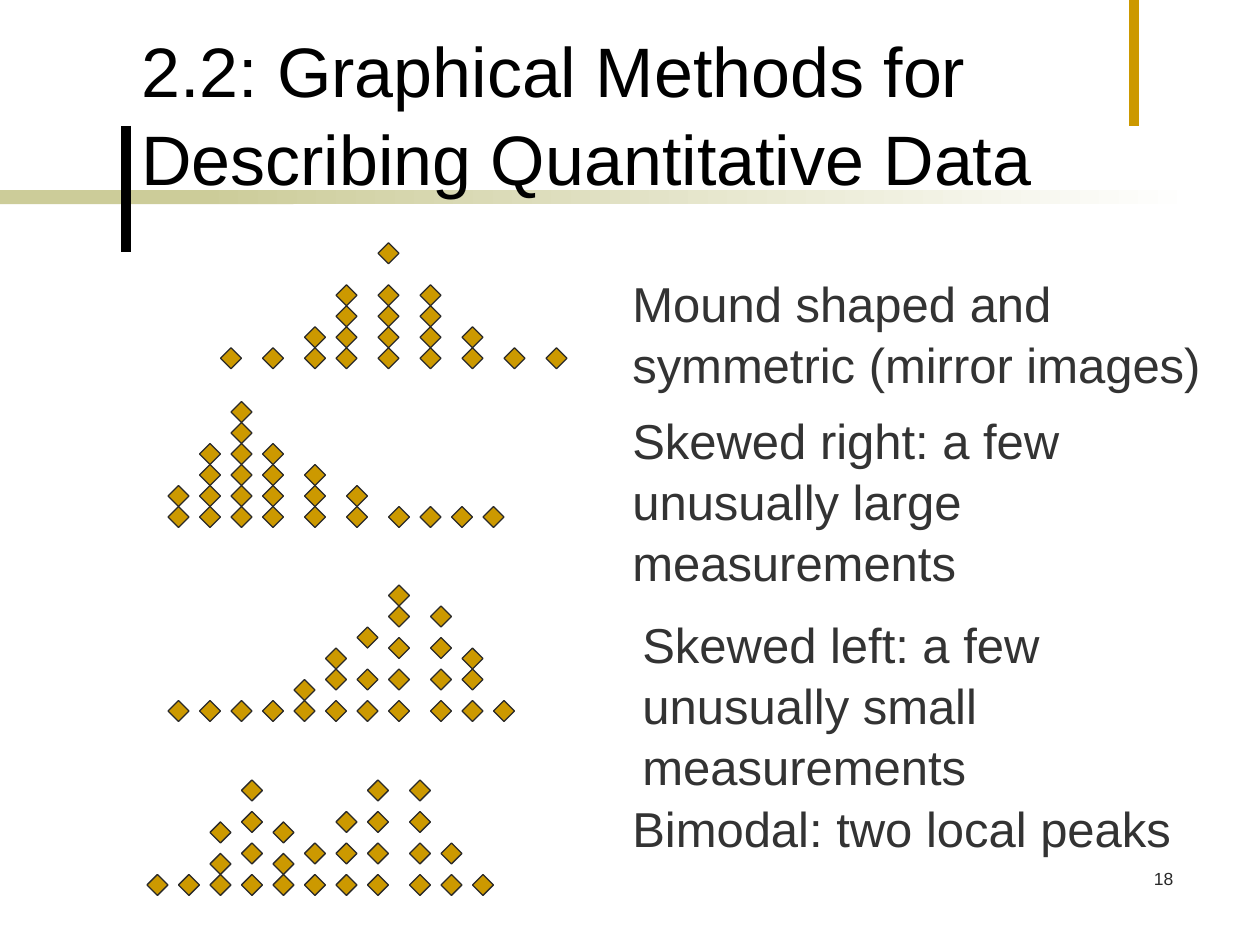
from lxml.etree import SubElement
from pptx import Presentation
from pptx.dml.color import RGBColor
from pptx.enum.shapes import MSO_SHAPE
from pptx.enum.text import MSO_ANCHOR, MSO_AUTO_SIZE, PP_ALIGN
from pptx.oxml.ns import qn
from pptx.util import Inches, Pt

BLACK = RGBColor(0x00, 0x00, 0x00)
WHITE = RGBColor(0xFF, 0xFF, 0xFF)
GOLD = RGBColor(0xCC, 0x99, 0x00)
SAND = RGBColor(0xCC, 0xCC, 0x99)
CHARCOAL = RGBColor(0x29, 0x29, 0x29)
GRAY = RGBColor(0x33, 0x33, 0x33)

DOT_STEP = 1 / 12
DOT_SIZE = 1 / 6

DOT_PLOTS = [
    ("Mound shaped and symmetric (mirror images)", (4.92, 2.1, 5.08, 1.04), 2.76,
     {21: [0], 25: [0], 29: [0, 2], 32: [0, 2, 4, 6], 36: [0, 2, 4, 6, 10],
      40: [0, 2, 4, 6], 44: [0, 2], 48: [0], 52: [0]}),
    ("Skewed right: a few unusually large measurements", (4.92, 3.19, 5.08, 1.5), 4.02,
     {16: [0, 2], 19: [0, 2, 4, 6], 22: [0, 2, 4, 6, 8, 10], 25: [0, 2, 4, 6],
      29: [0, 2, 4], 33: [0, 2], 37: [0], 40: [0], 43: [0], 46: [0]}),
    ("Skewed left: a few unusually small measurements", (5, 4.81, 5.08, 1.5), 5.56,
     {16: [0], 19: [0], 22: [0], 25: [0], 28: [0, 2], 31: [0, 3, 5],
      34: [0, 3, 7], 37: [0, 3, 6, 9, 11], 41: [0, 3, 6, 9], 44: [0, 3, 5], 47: [0]}),
    ("Bimodal: two local peaks", (4.92, 6.27, 5.08, 0.57), 6.94,
     {14: [0], 17: [0], 20: [0, 2, 5], 23: [0, 3, 6, 9], 26: [0, 2, 5], 29: [0, 3],
      32: [0, 3, 6], 35: [0, 3, 6, 9], 39: [0, 3, 6, 9], 42: [0, 3], 45: [0]}),
]


def write_text(frame, text, size=28, color=GRAY, font="Arial",
               align=PP_ALIGN.LEFT, anchor=MSO_ANCHOR.TOP):
    frame.word_wrap = True
    frame.auto_size = MSO_AUTO_SIZE.NONE
    frame.vertical_anchor = anchor
    frame.text = text
    paragraph = frame.paragraphs[0]
    paragraph.alignment = align
    paragraph.line_spacing = 1.04
    paragraph.space_before = Pt(0)
    paragraph.font.name = font
    paragraph.font.size = Pt(size)
    paragraph.font.color.rgb = color


class DotPlotSlide:
    def __init__(self, slide):
        self.slide = slide

    def title(self, text, left, top, width, height):
        heading = self.slide.shapes.title
        heading.left, heading.top = Inches(left), Inches(top)
        heading.width, heading.height = Inches(width), Inches(height)
        write_text(heading.text_frame, text, size=40, color=BLACK,
                   anchor=MSO_ANCHOR.BOTTOM)
        heading.element.getparent().append(heading.element)

    def label(self, text, left, top, width, height, shapes=None, **style):
        box = (shapes or self.slide.shapes).add_textbox(
            Inches(left), Inches(top), Inches(width), Inches(height))
        write_text(box.text_frame, text, **style)

    def band(self, left, width, fade=False):
        strip = self.slide.shapes.add_shape(
            MSO_SHAPE.RECTANGLE, Inches(left), Inches(1.51), Inches(width), Inches(0.11))
        strip.shadow.inherit = False
        strip.line.fill.background()
        if fade:
            strip.fill.gradient()
            strip.fill.gradient_angle = 0
            for stop, color in zip(strip.fill.gradient_stops, (SAND, WHITE)):
                stop.color.rgb = color
        else:
            strip.fill.solid()
            strip.fill.fore_color.rgb = SAND

    def bracket(self, tip, spine, top, color):
        bottom = top + 1.17
        outline = self.slide.shapes.build_freeform(tip, top, scale=Inches(1))
        outline.add_line_segments([(spine, top), (spine, bottom), (tip, bottom)], close=False)
        bracket = outline.convert_to_shape()
        bracket.shadow.inherit = False
        bracket.fill.background()
        bracket.line.color.rgb = color
        bracket.line.width = Pt(6)
        SubElement(bracket.element.spPr.find(qn("a:ln")), qn("a:miter"), lim="800000")

    def dot(self, shapes, left, top):
        diamond = shapes.add_shape(MSO_SHAPE.DIAMOND, Inches(left), Inches(top),
                                   Inches(DOT_SIZE), Inches(DOT_SIZE))
        diamond.shadow.inherit = False
        diamond.fill.solid()
        diamond.fill.fore_color.rgb = GOLD
        diamond.line.color.rgb = CHARCOAL
        diamond.line.width = Pt(0.75)

    def dot_plot(self, caption, caption_place, base, columns):
        plot = self.slide.shapes.add_group_shape().shapes
        for column, levels in columns.items():
            for level in levels:
                self.dot(plot, column * DOT_STEP, base - level * DOT_STEP)
        self.label(caption, *caption_place, shapes=plot)


def main():
    deck = Presentation()
    deck.slide_width, deck.slide_height = Inches(10), Inches(7.5)
    page = DotPlotSlide(deck.slides.add_slide(deck.slide_layouts[5]))
    page.band(0, 2.33)
    page.band(1.58, 7.92, fade=True)
    page.bracket(1.08, 0.92, 0.61, BLACK)
    page.bracket(9.04, 9.2, 0.3, GOLD)
    for dot_plot in DOT_PLOTS:
        page.dot_plot(*dot_plot)
    page.title("2.2: Graphical Methods for Describing Quantitative Data",
               1.02, 0.08, 7.83, 1.55)
    page.label("18", 7.33, 6.83, 2.08, 0.5, size=10, color=CHARCOAL, align=PP_ALIGN.RIGHT)
    deck.save("out.pptx")


if __name__ == "__main__":
    main()
